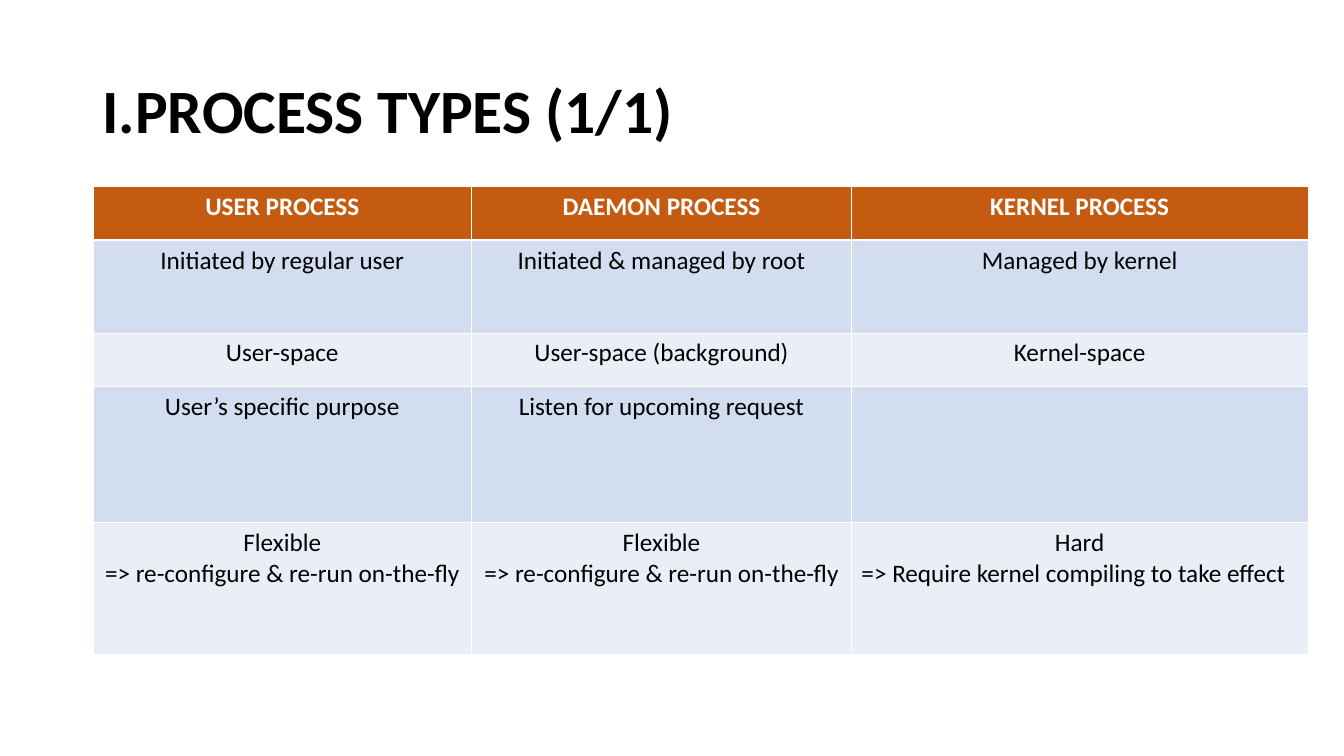
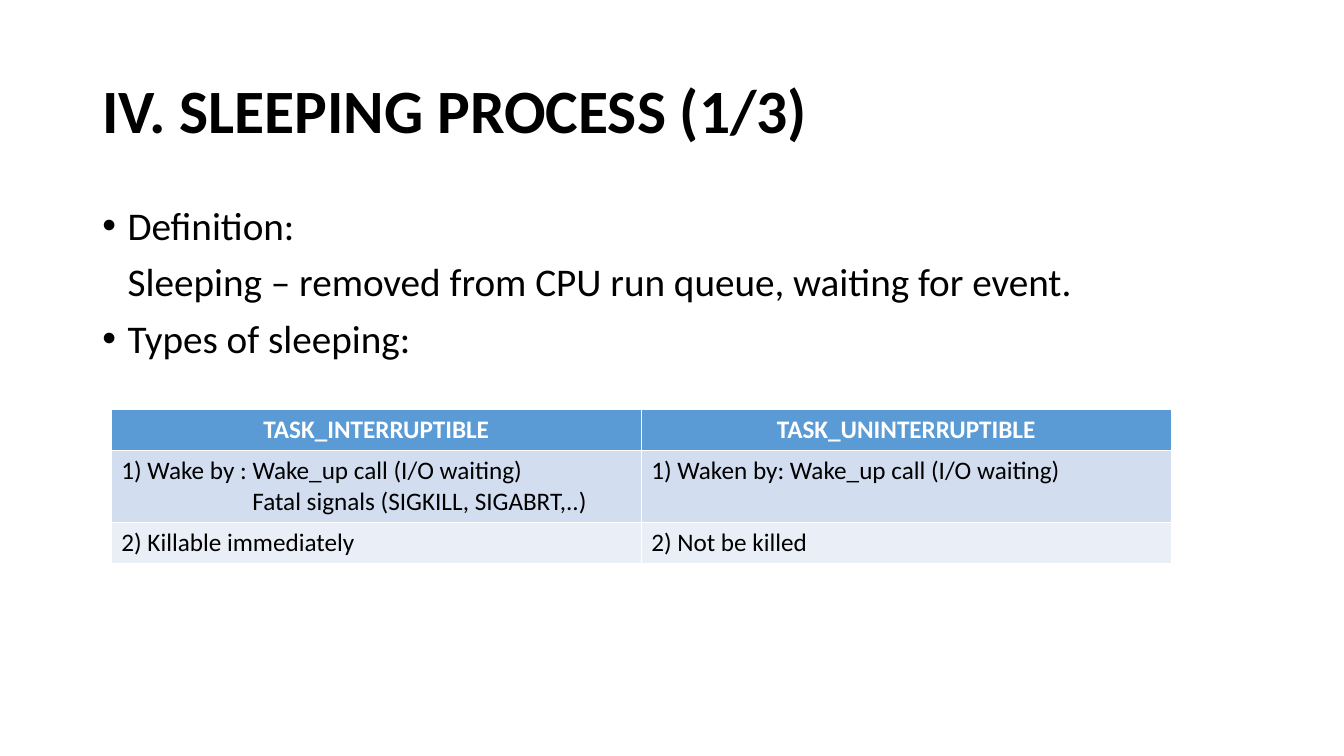
from dataclasses import dataclass

from pptx import Presentation
from pptx.dml.color import RGBColor as RGB
from pptx.enum.text import MSO_ANCHOR as ANCHOR, MSO_AUTO_SIZE as AUTO, PP_ALIGN as ALIGN
from pptx.oxml import parse_xml
from pptx.oxml.ns import nsdecls
from pptx.util import Pt


@dataclass(frozen=True)
class Theme:
    font: str = "Calibri"
    ink: str = "000000"
    white: str = "FFFFFF"
    orange: str = "C55A11"
    blue: str = "5B9BD5"
    bands: tuple = ("D2DEEF", "EAEFF7")
    title: int = 44
    body: int = 28
    cell: int = 18
    thin: float = 0.45
    thick: float = 1.47


T = Theme()
C, L = ALIGN.CENTER, ALIGN.LEFT
TITLE_BOX = (66, 28.8, 828, 104.4)
BODY_BOX = (66, 144, 828, 342.7)
BODY_INDENT = 18
SIGNAL_INDENT = 93.6

RERUN = [("Flexible", C), ("=> re-configure & re-run on-the-fly", C)]
PROCESS_TYPES = dict(
    at=(66.4, 133.4),
    cols=(270.7, 271.4, 326.2),
    heights=(38.2, 66.2, 38.2, 97.2, 94.3),
    header=T.orange,
    align=C,
    rows=[
        ["USER PROCESS", "DAEMON PROCESS", "KERNEL PROCESS"],
        ["Initiated by regular user", "Initiated & managed by root", "Managed by kernel"],
        ["User-space", "User-space (background)", "Kernel-space"],
        ["User’s specific purpose", "Listen for upcoming request", ""],
        [RERUN, RERUN, [("Hard", C), ("=> Require kernel compiling to take effect", L)]],
    ],
)
SLEEP_TYPES = dict(
    at=(79.6, 292.6),
    cols=(378.7, 378.7),
    heights=(29.2, 50.4, 29.2),
    header=T.blue,
    align=L,
    rows=[
        ["TASK_INTERRUPTIBLE", "TASK_UNINTERRUPTIBLE"],
        [[("1) Wake by : Wake_up call (I/O waiting)", L),
          ("Fatal signals (SIGKILL, SIGABRT,..)", L, SIGNAL_INDENT)],
         "1) Waken by: Wake_up call (I/O waiting)"],
        ["2) Killable immediately", "2) Not be killed"],
    ],
)
SLIDES = [
    dict(layout=5, title="I.PROCESS TYPES (1/1)", body=[], table=PROCESS_TYPES),
    dict(layout=1, title="IV. SLEEPING PROCESS (1/3)", table=SLEEP_TYPES, body=[
        ("Definition:", True),
        ("Sleeping – removed from CPU run queue, waiting for event.", False),
        ("Types of sleeping:", True),
    ]),
]


def place(sp, box):
    sp.left, sp.top, sp.width, sp.height = map(Pt, box)
    sp.text_frame.auto_size = AUTO.NONE
    sp.text_frame.word_wrap = True
    return sp.text_frame


def paragraph(tf, i):
    return tf.add_paragraph() if i else tf.paragraphs[0]


def add_run(p, text, size, color=T.ink, bold=False):
    r = p.add_run()
    r.text = text
    f = r.font
    f.name, f.size, f.bold = T.font, Pt(size), bold
    f.color.rgb = RGB.from_string(color)


def indent(p, left, hanging=0):
    pPr = p._p.get_or_add_pPr()
    pPr.set("marL", str(Pt(left)))
    pPr.set("indent", str(-Pt(hanging)))
    return pPr


def add_title(s, text):
    tf = place(s.shapes.title, TITLE_BOX)
    tf.vertical_anchor = ANCHOR.MIDDLE
    p = tf.paragraphs[0]
    p.alignment, p.line_spacing = L, 0.9
    add_run(p, text, T.title, bold=True)


def add_body(s, items):
    tf = place(s.placeholders[1], BODY_BOX)
    for i, (text, bullet) in enumerate(items):
        p = paragraph(tf, i)
        p.line_spacing, p.space_before = 0.9, Pt(10)
        pPr = indent(p, BODY_INDENT, BODY_INDENT if bullet else 0)
        mark = 'buChar {} char="•"' if bullet else "buNone {}"
        pPr.append(parse_xml(f"<a:{mark.format(nsdecls('a'))}/>"))
        add_run(p, text, T.body)


def add_borders(cell, row):
    top = T.thick if row == 1 else T.thin
    bottom = T.thick if row == 0 else T.thin
    widths = dict(L=T.thin, R=T.thin, T=top, B=bottom)
    for i, (side, width) in enumerate(widths.items()):
        cell._tc.get_or_add_tcPr().insert(i, parse_xml(
            f'<a:ln{side} {nsdecls("a")} w="{Pt(width)}"><a:solidFill>'
            f'<a:srgbClr val="{T.white}"/></a:solidFill></a:ln{side}>'))


def fill_cell(cell, row, content, header, align):
    color = T.bands[(row - 1) % 2] if row else header
    cell.fill.solid()
    cell.fill.fore_color.rgb = RGB.from_string(color)
    add_borders(cell, row)
    if isinstance(content, str):
        content = [(content, align if row else C)] if content else []
    for i, (text, al, *left) in enumerate(content):
        p = paragraph(cell.text_frame, i)
        p.alignment = al
        if left:
            indent(p, left[0])
        add_run(p, text, T.cell, T.ink if row else T.white, row == 0)


def add_table(s, at, cols, heights, header, align, rows):
    box = (*at, sum(cols), sum(heights))
    table = s.shapes.add_table(len(rows), len(cols), *map(Pt, box)).table
    for col, width in zip(table.columns, cols):
        col.width = Pt(width)
    for i, (height, cells) in enumerate(zip(heights, rows)):
        table.rows[i].height = Pt(height)
        for j, content in enumerate(cells):
            fill_cell(table.cell(i, j), i, content, header, align)


def main():
    prs = Presentation()
    prs.slide_width, prs.slide_height = Pt(960.5), Pt(540)
    for data in SLIDES:
        s = prs.slides.add_slide(prs.slide_layouts[data["layout"]])
        add_title(s, data["title"])
        if data["body"]:
            add_body(s, data["body"])
        add_table(s, **data["table"])
    prs.save("out.pptx")


if __name__ == "__main__":
    main()
